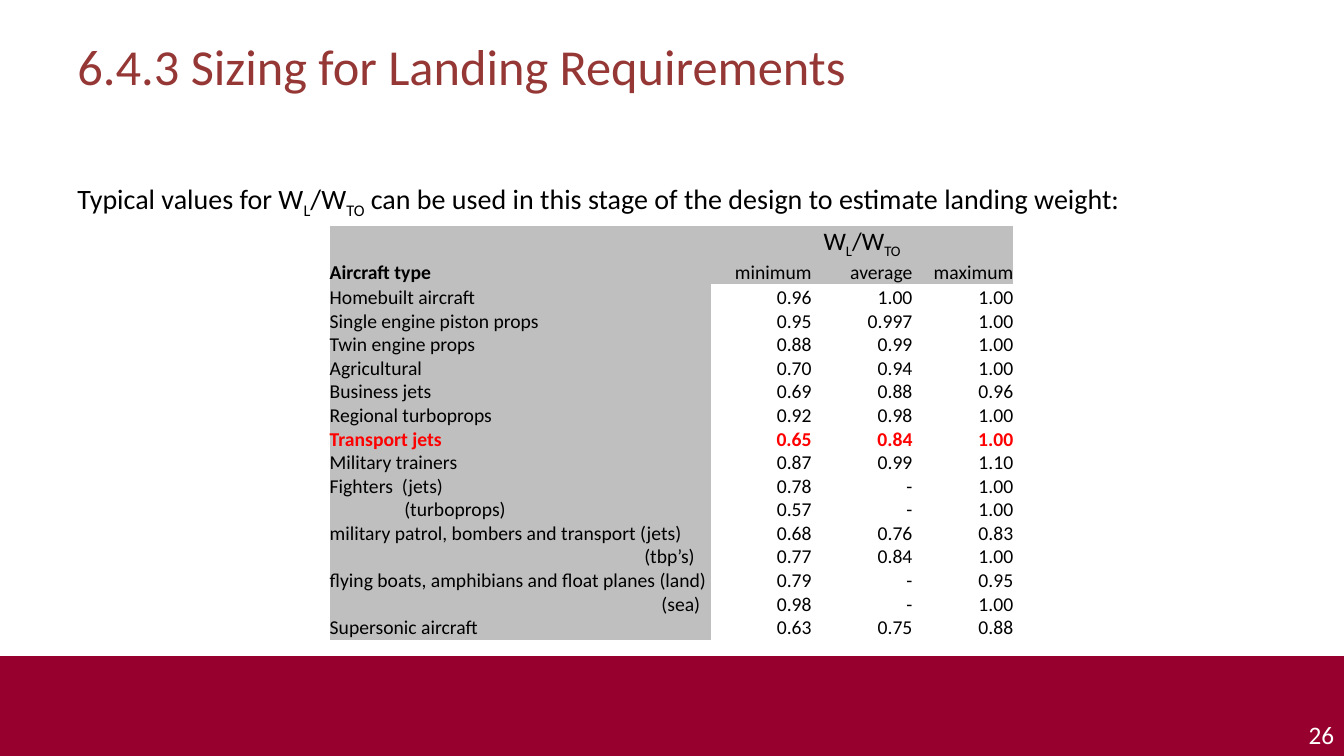
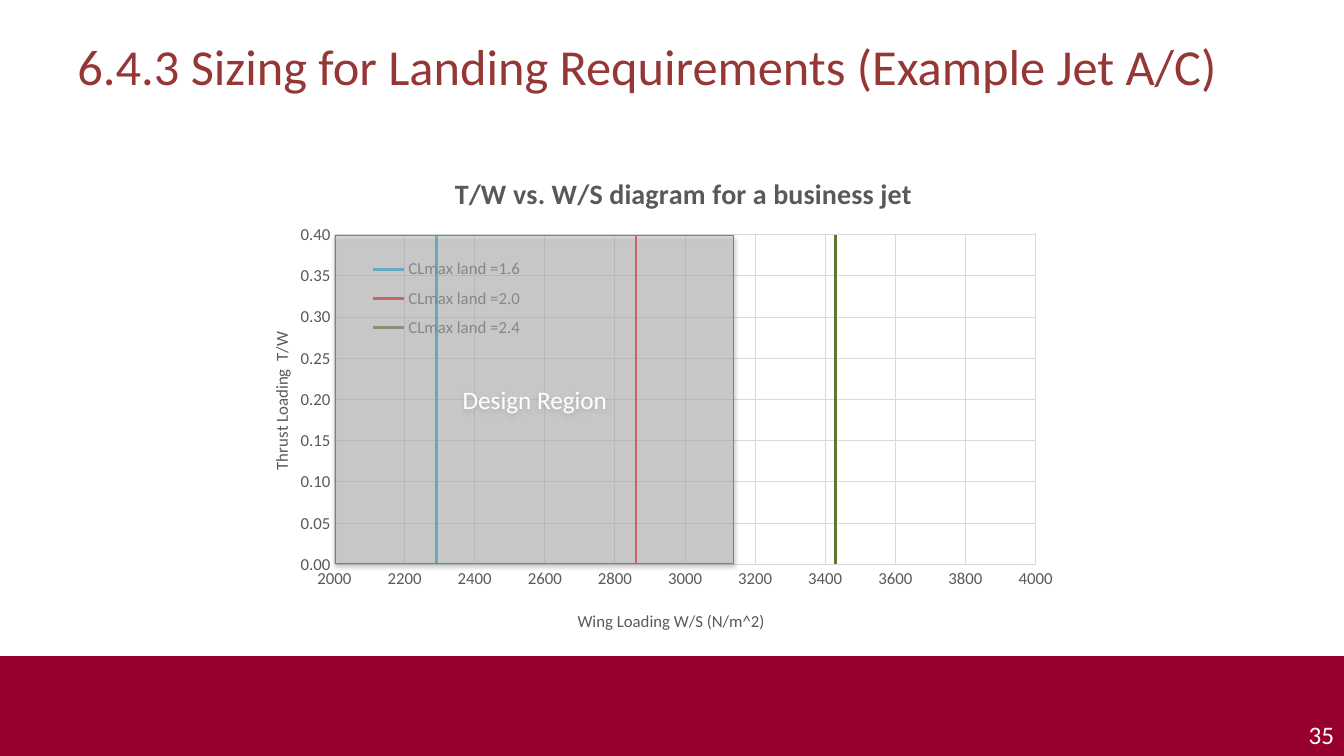
from lxml import etree
from pptx import Presentation
from pptx.chart.data import XyChartData
from pptx.dml.color import RGBColor
from pptx.enum.chart import XL_CHART_TYPE, XL_LEGEND_POSITION, XL_TICK_MARK
from pptx.enum.shapes import MSO_SHAPE
from pptx.enum.text import MSO_ANCHOR, PP_ALIGN
from pptx.oxml import parse_xml
from pptx.oxml.ns import nsdecls, qn
from pptx.util import Inches, Pt

FONT = "Calibri"
BLACK = RGBColor(0x00, 0x00, 0x00)
WHITE = RGBColor(0xFF, 0xFF, 0xFF)
RED = RGBColor(0xFF, 0x00, 0x00)
BLUE = RGBColor(0x00, 0xB0, 0xF0)
GREEN = RGBColor(0x5F, 0x75, 0x30)
CRIMSON = RGBColor(0x97, 0x00, 0x2E)
TITLE_RED = RGBColor(0x95, 0x37, 0x35)
SILVER = RGBColor(0xBF, 0xBF, 0xBF)
GRID_GRAY = RGBColor(0xD9, 0xD9, 0xD9)
TEXT_GRAY = RGBColor(0x59, 0x59, 0x59)
EDGE_GRAY = RGBColor(0x7F, 0x7F, 0x7F)
LEFT, CENTER, RIGHT = PP_ALIGN.LEFT, PP_ALIGN.CENTER, PP_ALIGN.RIGHT
NO_TABLE_STYLE = "{2D5ABB26-0587-4C30-8999-92F81FD0307C}"
WEIGHT_RATIO = ["W", "_L", "/W", "_TO"]


def write(paragraph, pieces, size, color, align=LEFT, bold=False):
    """Add one run per piece; a leading underscore marks a subscript."""
    paragraph.alignment = align
    for piece in pieces:
        run = paragraph.add_run()
        run.text = piece.lstrip("_")
        run.font.name = FONT
        run.font.size = Pt(size)
        run.font.bold = bold
        run.font.color.rgb = color
        if piece.startswith("_"):
            run.font._element.set("baseline", "-25000")


def place(part, **fractions):
    """Give a chart part a manual layout in fractions of the chart."""
    for old in part.findall(qn("c:layout")):
        part.remove(old)
    layout = parse_xml(f"<c:layout {nsdecls('c')}><c:manualLayout/></c:layout>")
    settings = {"xMode": "edge", "yMode": "edge", **fractions}
    if part.tag == qn("c:plotArea"):
        settings = {"layoutTarget": "inner", **settings}
    for name, value in settings.items():
        etree.SubElement(layout[0], qn(f"c:{name}")).set("val", str(value))
    overlay = part.find(qn("c:overlay"))
    if overlay is None:
        part.insert(0, layout)
    else:
        overlay.addprevious(layout)


presentation = Presentation()
presentation.slide_width = Inches(13.33)
presentation.slide_height = Inches(7.5)

# Shared band, page number and title
slides = []
for title, number in [
    ("6.4.3 Sizing for Landing Requirements", "26"),
    ("6.4.3 Sizing for Landing Requirements (Example Jet A/C)", "35"),
]:
    slide = presentation.slides.add_slide(presentation.slide_layouts[6])
    slides.append(slide)
    band = slide.shapes.add_shape(
        MSO_SHAPE.RECTANGLE, 0, Inches(6.51), presentation.slide_width, Inches(0.99))
    band.shadow.inherit = False
    band.fill.solid()
    band.fill.fore_color.rgb = CRIMSON
    band.line.fill.background()
    number_box = slide.shapes.add_textbox(
        Inches(12.63), Inches(7.09), Inches(0.7), Inches(0.4))
    number_box.text_frame.word_wrap = True
    write(number_box.text_frame.paragraphs[0], [number], 18, WHITE, RIGHT)
    title_box = slide.shapes.add_textbox(
        Inches(0.67), Inches(0.3), Inches(12.33), Inches(1.25))
    title_box.text_frame.word_wrap = True
    write(title_box.text_frame.paragraphs[0], [title], 36, TITLE_RED)
table_slide, chart_slide = slides

# Slide 1: introduction
intro = table_slide.shapes.add_textbox(
    Inches(0.67), Inches(1.75), Inches(12), Inches(0.45))
intro.text_frame.word_wrap = True
write(intro.text_frame.paragraphs[0],
      ["Typical values for ", *WEIGHT_RATIO,
       " can be used in this stage of the design to estimate landing weight:"],
      20, BLACK)

# Slide 1: weight ratio table
ROWS = [
    ("Aircraft type", "minimum", "average", "maximum"),
    ("Homebuilt aircraft", "0.96", "1.00", "1.00"),
    ("Single engine piston props", "0.95", "0.997", "1.00"),
    ("Twin engine props", "0.88", "0.99", "1.00"),
    ("Agricultural", "0.70", "0.94", "1.00"),
    ("Business jets", "0.69", "0.88", "0.96"),
    ("Regional turboprops", "0.92", "0.98", "1.00"),
    ("Transport jets", "0.65", "0.84", "1.00"),
    ("Military trainers", "0.87", "0.99", "1.10"),
    ("Fighters  (jets)", "0.78", "-", "1.00"),
    ("(turboprops)", "0.57", "-", "1.00"),
    ("military patrol, bombers and transport (jets)", "0.68", "0.76", "0.83"),
    ("(tbp’s)", "0.77", "0.84", "1.00"),
    ("flying boats, amphibians and float planes (land)", "0.79", "-", "0.95"),
    ("(sea)", "0.98", "-", "1.00"),
    ("Supersonic aircraft", "0.63", "0.75", "0.88"),
]
INDENTS = {"(turboprops)": 0.74, "(tbp’s)": 3.12, "(sea)": 3.29}
row_heights = [0.34, 0.24, 0.25] + [0.23] * 14
table = table_slide.shapes.add_table(
    len(row_heights), 4, Inches(3.27), Inches(2.24), Inches(6.78),
    Inches(sum(row_heights))).table
table.first_row = table.horz_banding = False
table._tbl.tblPr.find(qn("a:tableStyleId")).text = NO_TABLE_STYLE
for column, width in zip(table.columns, [3.78, 1, 1, 1]):
    column.width = Inches(width)
for row, height in zip(table.rows, row_heights):
    row.height = Inches(height)
for cell in table.iter_cells():
    cell.margin_left = cell.margin_right = 0
    cell.margin_top = cell.margin_bottom = 0
    cell.vertical_anchor = MSO_ANCHOR.BOTTOM
    cell.fill.background()
for column_index in range(4):
    table.cell(0, column_index).fill.solid()
    table.cell(0, column_index).fill.fore_color.rgb = SILVER
table.cell(0, 1).merge(table.cell(0, 3))
write(table.cell(0, 1).text_frame.paragraphs[0], WEIGHT_RATIO, 18, BLACK, CENTER)

for row_index, values in enumerate(ROWS, start=1):
    highlighted = values[0] == "Transport jets"
    for column_index, value in enumerate(values):
        cell = table.cell(row_index, column_index)
        if row_index == 1 or column_index == 0:
            cell.fill.solid()
            cell.fill.fore_color.rgb = SILVER
        cell.margin_left = Inches(INDENTS.get(value, 0))
        write(cell.text_frame.paragraphs[0], [value], 14,
              RED if highlighted else BLACK,
              RIGHT if column_index else LEFT,
              highlighted or value == "Aircraft type")

# Slide 2: thrust loading against wing loading
LIMITS = [
    ("CLmax land =1.6", 2290, BLUE),
    ("CLmax land =2.0", 2860, RED),
    ("CLmax land =2.4", 3430, GREEN),
]
chart_data = XyChartData()
for name, wing_loading, color in LIMITS:
    limit = chart_data.add_series(name)
    for thrust_loading in (0, 0.4):
        limit.add_data_point(wing_loading, thrust_loading)
chart = chart_slide.shapes.add_chart(
    XL_CHART_TYPE.XY_SCATTER_SMOOTH_NO_MARKERS, Inches(2.31), Inches(1.47),
    Inches(8.47), Inches(5.05), chart_data).chart
chart.font.name = FONT
chart.font.size = Pt(12)
chart.font.color.rgb = TEXT_GRAY
plot = chart.plots[0]
plot.vary_by_categories = False
for series, (name, wing_loading, color) in zip(plot.series, LIMITS):
    series.format.line.color.rgb = color
    series.format.line.width = Pt(2)
place(chart._chartSpace.chart.plotArea, x=0.119, y=0.17, w=0.821, h=0.648)

chart.has_title = True
write(chart.chart_title.text_frame.paragraphs[0],
      ["T/W vs. W/S diagram for a business jet"], 20, TEXT_GRAY, CENTER, True)
place(chart.chart_title._element, x=0.254, y=0.04)

# Slide 2: axes
for axis, title, low, high, step, number_format, x, y in [
    (chart.category_axis, "Wing Loading W/S (N/m^2)", 2000, 4000, 200, "0", 0.4, 0.9),
    (chart.value_axis, "Thrust Loading  T/W", 0, 0.4, 0.05, "0.00", 0.04, 0.355),
]:
    axis.minimum_scale = low
    axis.maximum_scale = high
    axis.major_unit = step
    axis.major_tick_mark = axis.minor_tick_mark = XL_TICK_MARK.NONE
    axis.tick_labels.number_format = number_format
    axis.tick_labels.number_format_is_linked = False
    axis.format.line.fill.background()
    axis.has_major_gridlines = True
    axis.major_gridlines.format.line.color.rgb = GRID_GRAY
    axis.major_gridlines.format.line.width = Pt(0.75)
    write(axis.axis_title.text_frame.paragraphs[0], [title], 12, TEXT_GRAY, CENTER)
    place(axis.axis_title._element, x=x, y=y)
value_title = chart.value_axis.axis_title.text_frame
value_title._txBody.bodyPr.set("rot", "-5400000")
value_title._txBody.bodyPr.set("vert", "horz")

# Slide 2: legend inside the plot
chart.has_legend = True
chart.legend.position = XL_LEGEND_POSITION.BOTTOM
chart.legend.include_in_layout = False
place(chart.legend._element, x=0.15, y=0.2, w=0.2, h=0.19)

# Slide 2: translucent design region
region = chart_slide.shapes.add_shape(
    MSO_SHAPE.RECTANGLE, Inches(3.33), Inches(2.34), Inches(3.95), Inches(3.25))
region.fill.solid()
region.fill.fore_color.rgb = SILVER
fill_color = region._element.spPr.find(qn("a:solidFill"))[0]
etree.SubElement(fill_color, qn("a:alpha")).set("val", "53000")
region.line.color.rgb = EDGE_GRAY
region.line.width = Pt(0.75)
region.shadow.inherit = False
region._element.spPr.find(qn("a:effectLst")).append(parse_xml(
    f'<a:outerShdw {nsdecls("a")} blurRad="40000" dist="23000" dir="5400000" '
    'rotWithShape="0"><a:srgbClr val="000000"><a:alpha val="35000"/>'
    "</a:srgbClr></a:outerShdw>"))
region.text_frame.vertical_anchor = MSO_ANCHOR.MIDDLE
write(region.text_frame.paragraphs[0], ["Design Region"], 18, WHITE, CENTER)

presentation.save("out.pptx")
